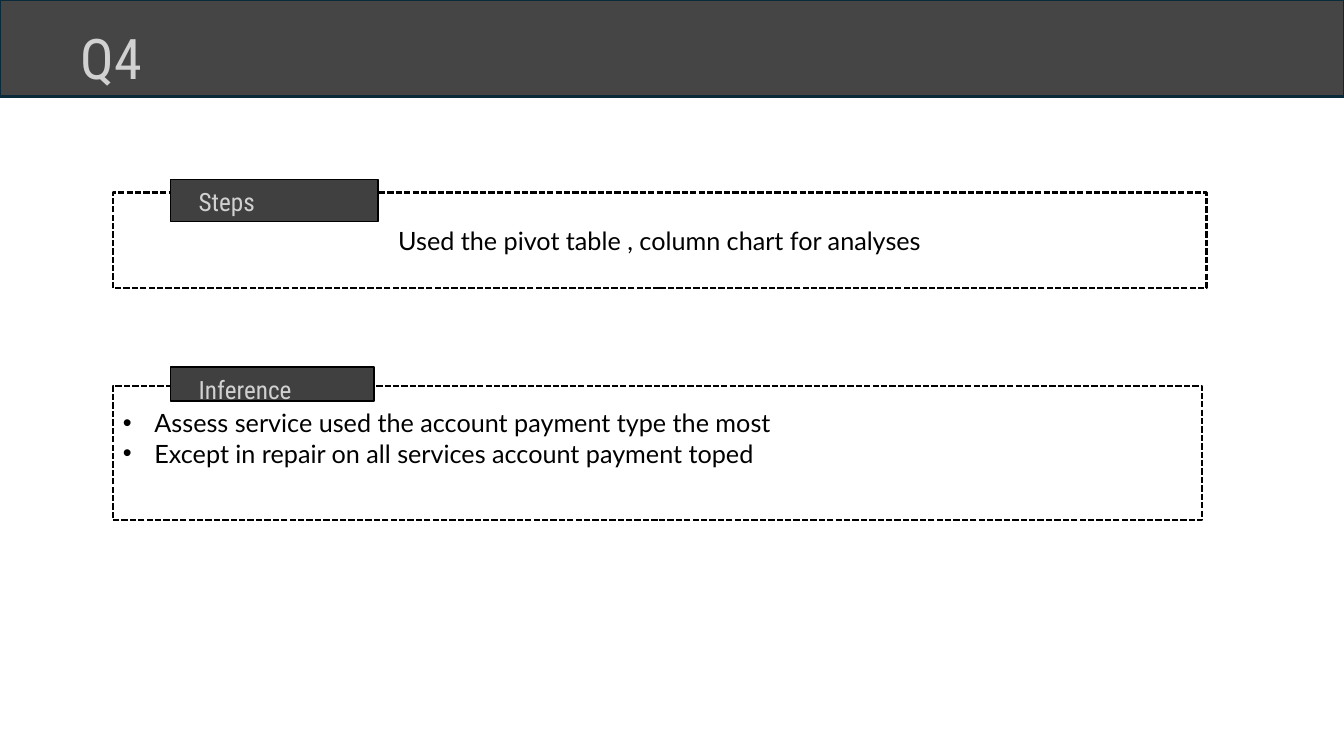
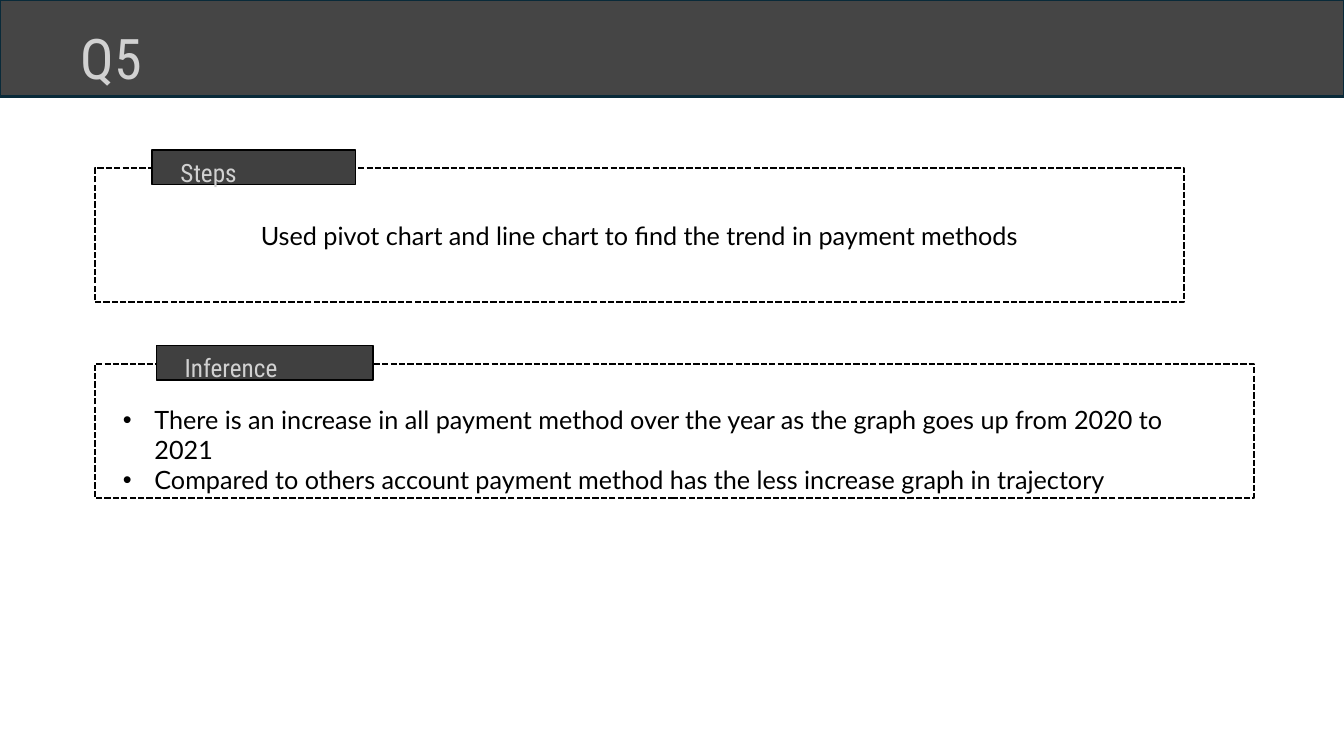
from pptx import Presentation
from pptx.dml.color import RGBColor
from pptx.enum import dml, shapes, text
from pptx.util import Pt

BAND, BAND_EDGE = "454545", "092A39"
TAB, LIGHT = "404040", "D1D1D1"
BLACK, WHITE = "000000", "FFFFFF"
HEADING_FONT, BODY_FONT = "Roboto Condensed", "Lato"

# Boxes are left, top, width, height in points.
QUESTIONS = [
    {
        "title": "Q4",
        "sections": [
            ("Steps", (80.6, 137.5, 781.2, 68.4), (121.7, 128.2, 148.3, 30.2),
             "Used the pivot table , column chart for analyses"),
            ("Inference", (80.6, 275.8, 778.3, 95.8), (121.7, 262.1, 145.4, 24.5), ""),
        ],
        "findings_top": 287.6,
        "findings": [
            "Assess service used the account payment type the most",
            "Except in repair on all services account payment toped",
        ],
    },
    {
        "title": "Q5",
        "sections": [
            ("Steps", (67.7, 120.2, 778.3, 95.8), (108.7, 107.3, 145.4, 24.5),
             "Used pivot chart and line chart to find the trend in payment methods"),
            ("Inference", (67.7, 259.9, 828, 95.8), (111.6, 247, 154.8, 24.5), ""),
        ],
        "findings_top": 285.1,
        "findings": [
            "There is an increase in all payment method over the year "
            "as the graph goes up from 2020 to 2021",
            "Compared to others account payment method has the less "
            "increase graph in trajectory",
        ],
    },
]


def add_box(slide, box, fill, edge, edge_width):
    rect = slide.shapes.add_shape(shapes.MSO_SHAPE.RECTANGLE, *map(Pt, box))
    rect.shadow.inherit = False
    rect.fill.solid()
    rect.fill.fore_color.rgb = RGBColor.from_string(fill)
    rect.line.color.rgb = RGBColor.from_string(edge)
    rect.line.width = Pt(edge_width)
    return rect


def style(paragraph, font, size, color, align=text.PP_ALIGN.LEFT):
    paragraph.alignment = align
    paragraph.space_before = Pt(0)
    paragraph.font.name = font
    paragraph.font.size = Pt(size)
    paragraph.font.color.rgb = RGBColor.from_string(color)


prs = Presentation()
prs.slide_width, prs.slide_height = Pt(960), Pt(540)
layout = prs.slide_layouts[1]

# Title place shared through the layout
layout_title = layout.placeholders[0]
layout_title.left, layout_title.top = Pt(50.4), Pt(13)
layout_title.width, layout_title.height = Pt(61.2), Pt(55.4)

for number, question in enumerate(QUESTIONS):
    slide = prs.slides.add_slide(layout)

    if number == 0:
        # The band goes into the layout, behind its placeholders, for every slide
        band = add_box(slide, (0, 0, 960, 69), BAND, BAND_EDGE, 1.5)
        layout.shapes.element.insert(2, band.element)

    title = slide.shapes.title.text_frame
    title.text = question["title"]
    title.vertical_anchor = text.MSO_ANCHOR.TOP
    title.auto_size = text.MSO_AUTO_SIZE.NONE
    style(title.paragraphs[0], HEADING_FONT, 40, LIGHT)

    for heading, frame_box, tab_box, summary in question["sections"]:
        frame = add_box(slide, frame_box, WHITE, BLACK, 1.5)
        frame.line.dash_style = dml.MSO_LINE.SQUARE_DOT
        if summary:
            frame.text_frame.text = summary
            style(frame.text_frame.paragraphs[0], BODY_FONT, 18, BLACK,
                  text.PP_ALIGN.CENTER)

        tab = add_box(slide, tab_box, TAB, BLACK, 1).text_frame
        tab.text = heading
        tab.vertical_anchor = text.MSO_ANCHOR.TOP
        tab.margin_left, tab.margin_top, tab.margin_bottom = Pt(20.2), Pt(5), Pt(0)
        style(tab.paragraphs[0], HEADING_FONT, 18, LIGHT)

    findings = slide.placeholders[1]
    findings.left, findings.top = Pt(80.6), Pt(question["findings_top"])
    findings.width, findings.height = Pt(778.3), Pt(72)
    findings.text_frame.text = "\n".join(question["findings"])
    findings.text_frame.auto_size = text.MSO_AUTO_SIZE.NONE
    for paragraph in findings.text_frame.paragraphs:
        style(paragraph, BODY_FONT, 18, BLACK)
        indent = paragraph._p.get_or_add_pPr()
        indent.set("marL", str(Pt(22.5)))
        indent.set("indent", str(-Pt(22.5)))
    # Bring the list in front of its white frame
    slide.shapes.element.append(findings.element)

prs.save("out.pptx")
